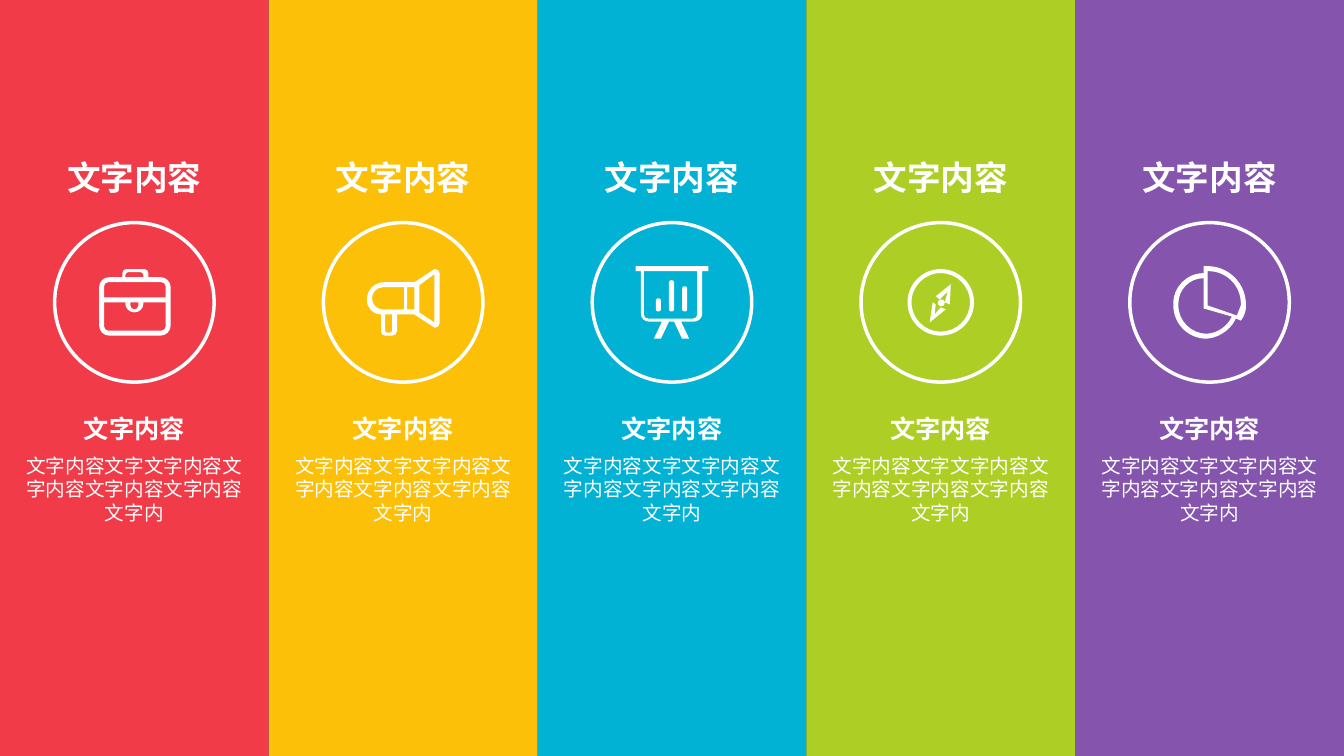
"""Builds a slide of five coloured columns, each with a title, an icon and a caption."""
from math import dist

from lxml import etree
from pptx import Presentation
from pptx.dml.color import RGBColor
from pptx.enum.shapes import MSO_SHAPE
from pptx.enum.text import MSO_ANCHOR, MSO_AUTO_SIZE, PP_ALIGN
from pptx.oxml.ns import qn
from pptx.util import Cm, Pt

RECT, OVAL = MSO_SHAPE.RECTANGLE, MSO_SHAPE.OVAL
TOP, MIDDLE = MSO_ANCHOR.TOP, MSO_ANCHOR.MIDDLE
CENTER = PP_ALIGN.CENTER
FIT_SHAPE = MSO_AUTO_SIZE.SHAPE_TO_FIT_TEXT

WHITE = RGBColor(0xFF, 0xFF, 0xFF)
SLATE = RGBColor(0x44, 0x54, 0x6A)
RED = RGBColor(0xF1, 0x3B, 0x48)
YELLOW = RGBColor(0xFC, 0xC0, 0x09)
BLUE = RGBColor(0x01, 0xB2, 0xD4)
GREEN = RGBColor(0xAD, 0xCE, 0x25)
PURPLE = RGBColor(0x85, 0x54, 0xAD)

HEADING = "文字内容"
BODY = "文字内容文字文字内容文字内容文字内容文字内容文字内"

FINE = 10
ICON_UNIT = Cm(2.54) / 100 / FINE


def box(left, top, right, bottom, r=0):
    """Corners of a rectangle, each rounded by r."""
    return [(left, top, r), (right, top, r), (right, bottom, r), (left, bottom, r)]


BRIEFCASE = [
    [(-35, -25, 10), (-12, -25), (-12, -33, 4), (14, -33, 4), (14, -25),
     (36, -25, 10), (36, 33, 10), (-35, 33, 10)],
    [(-9, -25), (-9, -30, 3), (9, -30, 3), (9, -25)],
    [(-30, -5), (-30, -20, 4), (31, -20, 4), (31, -5)],
    [(-30, 0), (-9, 0), (-9, 10, 9), (9, 10, 9), (9, 0), (31, 0),
     (31, 28, 4), (-30, 28, 4)],
    [(-4, 0), (4, 0), (4, 7, 4), (-4, 7, 4)],
]
MEGAPHONE = [
    [(-36, -20, 17), (11, -20), (31, -33), (36, -33, 4), (36, 25, 4), (31, 25),
     (11, 12), (-6, 12), (-6, 33, 5), (-22, 33, 4), (-22, 12), (-36, 12, 14)],
    [(-18, 12), (-11, 12), (-11, 30, 2), (-18, 30, 2)],
    [(1, -15), (1, 7), (-31, 7, 11), (-31, -15, 11)],
    box(4, -15, 11, 7),
    [(16, -17), (31, -28), (31, 20), (16, 10)],
]
FLIPCHART = [
    [(-36, -36), (36, -36), (36, -31), (30, -31), (30, 19, 8), (9, 19), (17, 36),
     (10, 36), (2, 19), (-3, 19), (-11, 36), (-18, 36), (-10, 19), (-31, 19, 8),
     (-31, -31), (-36, -31)],
    [(-28, -31), (25, -31), (25, 16, 4), (-28, 16, 4)],
    box(-16, -4, -11, 9, 2),
    box(-3, -22, 2, 9, 2),
    box(10, -16, 15, 9, 2),
]
COMPASS = [
    box(-33, -33, 33, 33, 33),
    box(-29, -29, 29, 29, 29),
    box(-3, -3, 4, 4, 3.5),
    [(-6, 12), (-5, 2), (-8, 0), (-11, 20), (5, 7), (0, 5)],
    [(-1, -3), (7, -11), (4, 0), (9, 2), (10, -18), (-5, -6)],
]
PIE = [
    [(-6, -36), (36, -36, 38), (36, 12, 7), (31, 18), (26, 16), (16, 36, 20),
     (-36, 36, 33), (-36, -29, 30), (-6, -29)],
    [(-6, -24), (-6, 6), (22, 14), (14, 31, 17), (-31, 31, 28), (-31, -24, 25)],
    [(-2, -31), (31, -31, 32), (31, 3), (27, 13), (-2, 3)],
]
COLUMNS = [(RED, BRIEFCASE), (YELLOW, MEGAPHONE), (BLUE, FLIPCHART),
           (GREEN, COMPASS), (PURPLE, PIE)]


def toward(a, b, share):
    """Point that lies a share of the way from a to b."""
    return tuple(m + (n - m) * share for m, n in zip(a, b))


def outline(corners):
    """Points of a closed outline, each with a mark where a curve sets off."""
    points = []
    for i, (x, y, *radius) in enumerate(corners):
        corner = (x * FINE, y * FINE)
        if not radius or not radius[0]:
            points.append((corner, False))
            continue
        reach = radius[0] * FINE
        start, end = (
            toward(corner, near, reach / dist(corner, near))
            for near in ((nx * FINE, ny * FINE) for nx, ny, *_ in
                         (corners[i - 1], corners[(i + 1) % len(corners)])))
        points += [(start, False), (toward(start, corner, 0.55), True),
                   (toward(end, corner, 0.55), False), (end, False)]
    return points


def bend(sp, marks):
    """Turns each marked point and the two after it into one curve."""
    steps = list(sp._element.iter(qn("a:moveTo"), qn("a:lnTo")))
    for i, marked in enumerate(marks):
        if marked:
            curve = etree.Element(qn("a:cubicBezTo"))
            steps[i].addprevious(curve)
            for step in steps[i:i + 3]:
                curve.append(step[0])
                step.getparent().remove(step)


class Deck:
    """Holds the presentation, its ink colour and the current slide."""

    def __init__(self, width, height, ink=WHITE):
        """Starts a presentation with one blank slide."""
        self.prs = Presentation()
        self.prs.slide_width, self.prs.slide_height = width, height
        self.ink = ink
        self.slide = self.prs.slides.add_slide(self.prs.slide_layouts[6])
        fill = self.slide.background.fill
        fill.solid()
        fill.fore_color.rgb = SLATE

    def paint(self, sp, color):
        """Fills a shape and removes its line and shadow."""
        sp.shadow.inherit = False
        sp.fill.solid()
        sp.fill.fore_color.rgb = color
        sp.line.fill.background()

    def band(self, x, width, color):
        """Adds a full-height column."""
        sp = self.slide.shapes.add_shape(RECT, x, 0, width, self.prs.slide_height)
        self.paint(sp, color)

    def badge(self, cx, cy, size, icon):
        """Adds a ring with an icon in its middle, grouped."""
        shapes = self.slide.shapes.add_group_shape().shapes
        ring = shapes.add_shape(OVAL, cx - size // 2, cy - size // 2, size, size)
        ring.shadow.inherit = False
        ring.fill.background()
        ring.line.color.rgb = self.ink
        ring.line.width = Pt(2.5)
        outlines = [outline(corners) for corners in icon]
        builder = shapes.build_freeform(*outlines[0][0][0], scale=ICON_UNIT)
        for i, points in enumerate(outlines):
            if i:
                builder.move_to(*points[0][0])
            builder.add_line_segments([point for point, _ in points[1:]])
        sp = builder.convert_to_shape(cx, cy)
        bend(sp, [mark for points in outlines for _, mark in points])
        self.paint(sp, self.ink)

    def text(self, text, cx, y, width, height, size, font="Arial", bold=True,
             wrap=False, anchor=MIDDLE):
        """Adds a text box centred on cx."""
        sp = self.slide.shapes.add_textbox(cx - width // 2, y, width, height)
        tf = sp.text_frame
        tf.word_wrap = wrap
        tf.auto_size = FIT_SHAPE
        tf.vertical_anchor = anchor
        p = tf.paragraphs[0]
        p.alignment = CENTER
        r = p.add_run()
        r.text = text
        r.font.name, r.font.size, r.font.bold = font, Pt(size), bold
        r.font.color.rgb = self.ink


def main():
    """Draws the columns and saves the file."""
    deck = Deck(Cm(33.87), Cm(19.05))
    width = deck.prs.slide_width // len(COLUMNS)
    centers = [i * width + width // 2 for i in range(len(COLUMNS))]
    for cx, (color, _) in zip(centers, COLUMNS):
        deck.band(cx - width // 2, width, color)
    for cx, (_, icon) in zip(centers, COLUMNS):
        deck.badge(cx, Cm(7.62), Cm(4.02), icon)
    for cx in centers:
        deck.text(HEADING, cx, Cm(3.82), Cm(3.96), Cm(1.28), 24)
    for cx in centers:
        deck.text(BODY, cx, Cm(11.31), Cm(6.15), Cm(2.06), 14, font="Calibri",
                  bold=False, wrap=True, anchor=TOP)
        deck.text(HEADING, cx, Cm(10.28), Cm(3.1), Cm(1.03), 18)
    deck.prs.save("out.pptx")


if __name__ == "__main__":
    main()
